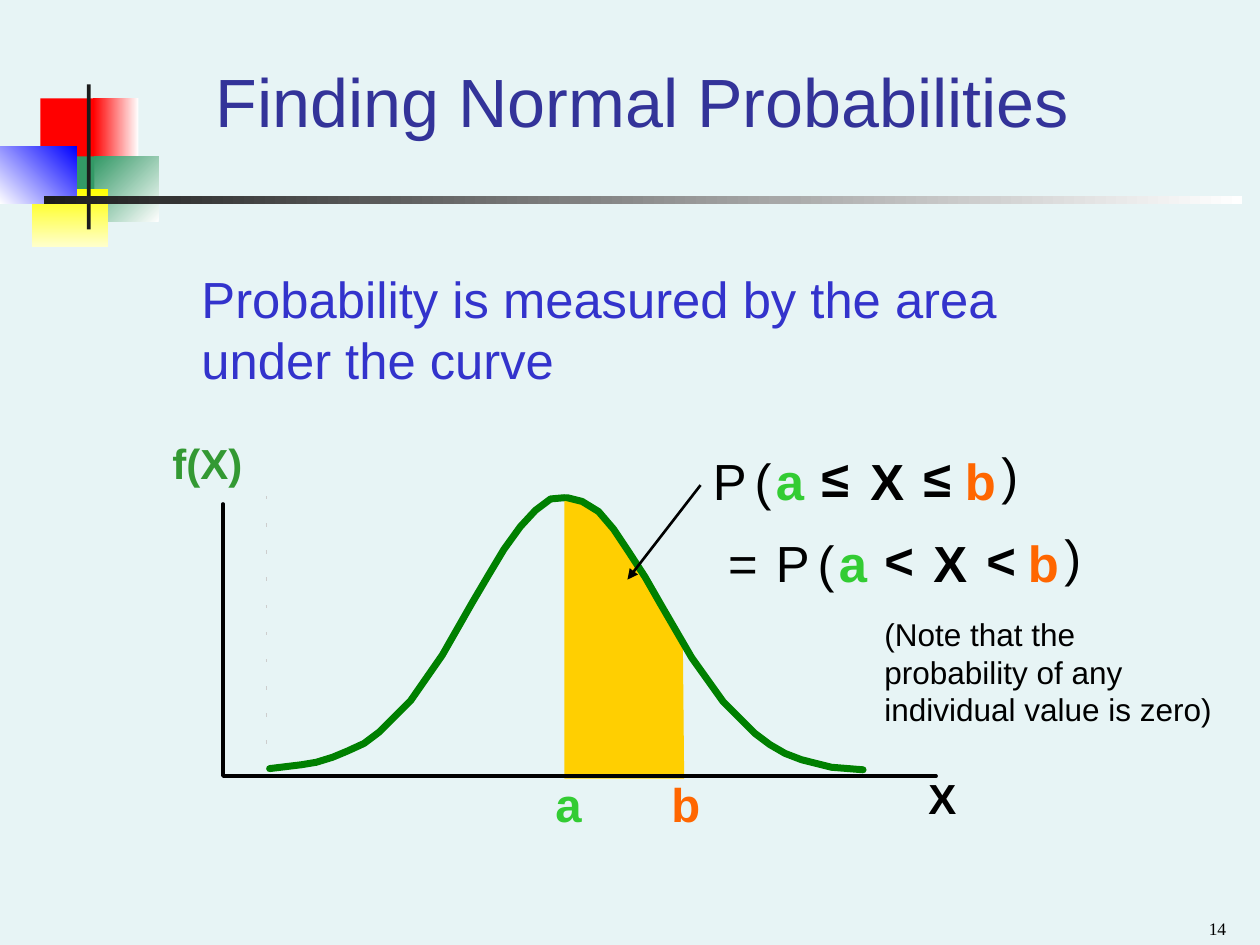
from lxml.etree import SubElement
from pptx import Presentation
from pptx.dml.color import RGBColor
from pptx.enum.shapes import MSO_CONNECTOR as Connector, MSO_SHAPE as Shape
from pptx.enum.text import MSO_ANCHOR as Anchor, PP_ALIGN as Align
from pptx.oxml.ns import qn
from pptx.util import Inches, Pt

BACKGROUND = RGBColor(0xE7, 0xF4, 0xF5)
TITLE_BLUE = RGBColor(0x33, 0x33, 0x99)
TEXT_BLUE = RGBColor(0x33, 0x33, 0xCC)
BLACK = RGBColor(0, 0, 0)
WHITE = RGBColor(0xFF, 0xFF, 0xFF)
CHARCOAL = RGBColor(0x1C, 0x1C, 0x1C)
RED = RGBColor(0xFF, 0, 0)
BLUE = RGBColor(0, 0, 0xFF)
SEA_GREEN = RGBColor(0x33, 0x99, 0x66)
YELLOW = RGBColor(0xFF, 0xFF, 0)
PALE_YELLOW = RGBColor(0xFF, 0xFF, 0xCC)
GOLD = RGBColor(0xFF, 0xCF, 0x01)
CURVE_GREEN = RGBColor(0, 0x80, 0)
AXIS_GREEN = RGBColor(0x33, 0x99, 0x33)
LOWER_GREEN = RGBColor(0x33, 0xCC, 0x33)
UPPER_ORANGE = RGBColor(0xFF, 0x66, 0)
TICK_GRAY = RGBColor(0xCD, 0xCD, 0xCD)

# Curve points as (distance from the peak, drop below the peak)
LEFT_HALF = [(2.34, 2.15), (2.09, 2.12), (1.97, 2.1), (1.84, 2.06), (1.72, 2.01),
             (1.59, 1.95), (1.47, 1.86), (1.22, 1.61), (0.97, 1.25), (0.73, 0.83),
             (0.6, 0.61), (0.48, 0.41), (0.35, 0.23), (0.23, 0.1), (0.11, 0.01), (0, 0)]
RIGHT_HALF = [(2.35, 2.16), (2.1, 2.14), (1.98, 2.11), (1.86, 2.08), (1.73, 2.03),
              (1.61, 1.96), (1.49, 1.87), (1.24, 1.62), (0.99, 1.27), (0.74, 0.84),
              (0.62, 0.63), (0.49, 0.43), (0.37, 0.25), (0.25, 0.11), (0.12, 0.03), (0, 0)]
SHADED_AREA = [(0.15, 0.04), (0.26, 0.1), (0.42, 0.3), (0.55, 0.5), (0.71, 0.77),
               (0.84, 1.01), (0.94, 1.18), (0.95, 2.23), (0, 2.23), (0, 0)]


def add_text(slide, box, text, size, color, bold=False, font="Arial", wrap=False,
             align=Align.LEFT, anchor=Anchor.TOP, line_spacing=None):
    frame = slide.shapes.add_textbox(*map(Inches, box)).text_frame
    frame.word_wrap = wrap
    frame.vertical_anchor = anchor
    paragraph = frame.paragraphs[0]
    paragraph.alignment = align
    paragraph.line_spacing = line_spacing
    run = paragraph.add_run()
    run.text = text
    run.font.name, run.font.size, run.font.bold = font, Pt(size), bold
    run.font.color.rgb = color


def add_block(slide, box, color, end_color=None, angle=0):
    shape = slide.shapes.add_shape(Shape.RECTANGLE, *map(Inches, box))
    shape.shadow.inherit = False
    shape.line.fill.background()
    if end_color is None:
        shape.fill.solid()
        shape.fill.fore_color.rgb = color
    else:
        shape.fill.gradient()
        shape.fill.gradient_angle = angle
        for stop, stop_color, position in zip(shape.fill.gradient_stops, (color, end_color), (0, 1)):
            stop.color.rgb = stop_color
            stop.position = position


def add_outline(slide, points, fill=None, line=None, width=0):
    points = [(Inches(x), Inches(y)) for x, y in points]
    builder = slide.shapes.build_freeform(*points[0], scale=1.0)
    builder.add_line_segments(points[1:], close=fill is not None)
    shape = builder.convert_to_shape()
    shape.shadow.inherit = False
    if fill is None:
        shape.fill.background()
        shape.line.color.rgb = line
        shape.line.width = Pt(width)
        shape.element.spPr.find(qn("a:ln")).set("cap", "rnd")
    else:
        shape.fill.solid()
        shape.fill.fore_color.rgb = fill
        shape.line.fill.background()


def add_line(slide, start, end, color, width, arrow=False):
    line = slide.shapes.add_connector(Connector.STRAIGHT, *map(Inches, start + end))
    line.line.color.rgb = color
    line.line.width = Pt(width)
    properties = line.element.spPr
    if arrow:
        SubElement(properties.find(qn("a:ln")), qn("a:tailEnd"), type="triangle")
    SubElement(properties, qn("a:effectLst"))


def add_ornament(slide, left, top):
    """Coloured squares with a crossing bar and rule."""
    blocks = [
        (0.32, 0.11, 0.48, 0.52, RED),
        (0.74, 0.11, 0.36, 0.52, WHITE, RED, 180),
        (0.75, 0.57, 0.51, 0.52, WHITE, SEA_GREEN, 135),
        (0.43, 0.57, 0.32, 0.52, SEA_GREEN),
        (0.25, 0.83, 0.61, 0.46, YELLOW, PALE_YELLOW, 270),
        (0, 0.49, 0.61, 0.46, BLUE, WHITE, 225),
        (0.69, 0, 0.03, 1.15, CHARCOAL),
        (0.35, 0.89, 9.51, 0.06, WHITE, CHARCOAL, 180),
    ]
    for x, y, width, height, *colors in blocks:
        add_block(slide, (left + x, top + y, width, height), *colors)


def add_density_plot(slide, left, top):
    """Normal curve with the area from a to b shaded."""
    axis_height, axis_width = 2.21, 5.66
    left_peak, right_peak = left + 2.71, left + 2.73

    # Shaded area and its limits
    add_outline(slide, [(left_peak + x, top + y) for x, y in SHADED_AREA], fill=GOLD)
    add_text(slide, (left + 2.54, top + 2.15, 0.41, 0.55), "a", 27, LOWER_GREEN, True)
    add_text(slide, (left + 3.46, top + 2.15, 0.43, 0.55), "b", 27, UPPER_ORANGE, True)

    # Both halves of the curve
    for half, peak, side in ((RIGHT_HALF, right_peak, 1), (LEFT_HALF, left_peak, -1)):
        points = [(peak + side * x, top + y) for x, y in half]
        add_outline(slide, points, line=CURVE_GREEN, width=4)

    # Axes, faint ticks and axis names
    add_outline(slide, [(left, top + 0.05), (left, top + axis_height),
                        (left + axis_width, top + axis_height)], line=BLACK, width=2)
    for index in range(10):
        y = top + index * 0.2156
        add_line(slide, (left + 0.34, y), (left + 0.35, y), TICK_GRAY, 2)
    add_text(slide, (left + 5.5, top + 2.13, 0.42, 0.5), "X", 24, BLACK, True)
    add_text(slide, (left - 0.5, top - 0.53, 0.85, 0.5), "f(X)", 24, AXIS_GREEN, True)


def add_probability(slide, left, top, relation):
    """One expression P(a relation X relation b)."""
    symbols = [
        (0, 0, 0.47, "P", BLACK, False),
        (0.5, 0, 0.42, "a", LOWER_GREEN, True),
        (1.25, 0, 0.47, "X", BLACK, True),
        (2, 0, 0.44, "b", UPPER_ORANGE, True),
        (0.33, 0, 0.33, "(", BLACK, False),
        (2.29, -0.05, 0.33, ")", BLACK, False),
        (0.86, -0.02, 0.42, relation, BLACK, True),
        (1.67, -0.02, 0.42, relation, BLACK, True),
    ]
    for x, y, width, text, color, bold in symbols:
        add_text(slide, (left + x, top + y, width, 0.58), text, 29, color, bold)


def add_formulas(slide, left, top):
    """Two equal probabilities, a pointer to the area and a note."""
    second_row = top + 0.65
    add_probability(slide, left, top, "≤")
    add_line(slide, (left, top + 0.33), (left - 0.58, top + 1.08), BLACK, 1.5, arrow=True)
    add_text(slide, (left + 0.12, second_row, 0.43, 0.58), "=", 29, BLACK)
    add_probability(slide, left + 0.5, second_row, "<")
    add_text(slide, (left + 1.36, top + 1.31, 2.92, 1),
             "(Note that the probability of any individual value is zero)", 18, BLACK, wrap=True)


def main():
    presentation = Presentation()
    presentation.slide_width, presentation.slide_height = Inches(10), Inches(7.5)
    slide = presentation.slides.add_slide(presentation.slide_layouts[6])
    slide.background.fill.solid()
    slide.background.fill.fore_color.rgb = BACKGROUND

    add_ornament(slide, 0, 0.67)
    add_text(slide, (0.85, 0.33, 8.5, 0.99), "Finding Normal Probabilities", 39, TITLE_BLUE,
             wrap=True, align=Align.CENTER, anchor=Anchor.MIDDLE, line_spacing=0.95)
    add_text(slide, (1.5, 2.08, 7.42, 1.06),
             "Probability is measured by the area under the curve", 29, TEXT_BLUE, wrap=True)
    add_density_plot(slide, 1.77, 3.95)
    add_formulas(slide, 5.56, 3.52)
    add_text(slide, (7.5, 7.15, 2.33, 0.35), "14", 10, BLACK, font="Times New Roman",
             wrap=True, align=Align.RIGHT, anchor=Anchor.BOTTOM)
    presentation.save("out.pptx")


if __name__ == "__main__":
    main()
